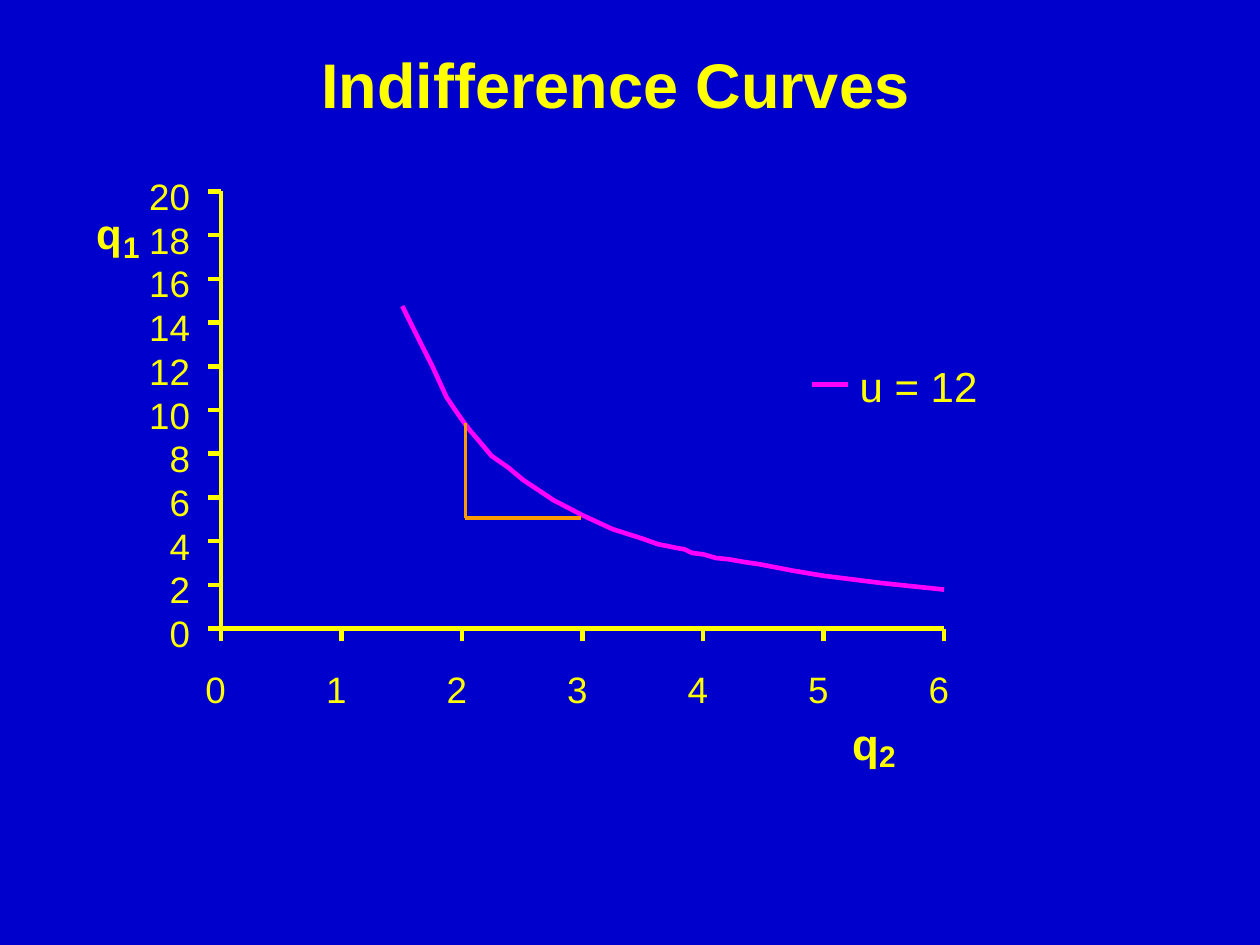
from lxml import etree
from pptx import Presentation
from pptx.dml.color import RGBColor
from pptx.enum.shapes import MSO_CONNECTOR
from pptx.enum.text import MSO_ANCHOR, MSO_AUTO_SIZE, PP_ALIGN
from pptx.oxml.ns import qn
from pptx.util import Pt

BLUE, YELLOW, MAGENTA, ORANGE = "0000CC", "FFFF00", "FF00FF", "FF9900"
AXIS_WIDTH = 2.64
TICK = 7.2
DIGIT = 11.7  # width of one axis digit

# Points of the curve, measured from the top left corner of the plot
CURVE = [
    (103.7, 65.5), (112.3, 82.8), (121, 100.1), (128.9, 117.4), (133.2, 123.8),
    (138.2, 131), (142.6, 136.8), (146.9, 141.8), (154.8, 151.2), (164.2, 157.7),
    (172.8, 164.9), (181.4, 170.6), (190.1, 176.4), (206.6, 185), (223.9, 193),
    (241.9, 198.7), (249.8, 201.6), (257, 203), (260.6, 203.8), (265, 204.5),
    (269.3, 206.6), (275.8, 207.4), (283, 209.5), (290.2, 210.2), (298.8, 211.7),
    (308.2, 213.1), (326.9, 216.7), (344.2, 219.6), (378.7, 223.9), (413.3, 227.5),
]


def rgb(color):
    return RGBColor.from_string(color)


def format_text(sp, text, size, bold=False, align=PP_ALIGN.LEFT):
    tf = sp.text_frame
    tf.margin_left = tf.margin_top = tf.margin_right = tf.margin_bottom = 0
    tf.word_wrap = False
    tf.auto_size = MSO_AUTO_SIZE.NONE
    tf.vertical_anchor = MSO_ANCHOR.TOP
    p = tf.paragraphs[0]
    p.text = text
    p.alignment = align
    p.font.name = "Arial"
    p.font.size = Pt(size)
    p.font.bold = bold
    p.font.color.rgb = rgb(YELLOW)


def add_text(slide, x, y, w, h, text, size, **style):
    sp = slide.shapes.add_textbox(Pt(x), Pt(y), Pt(w), Pt(h))
    format_text(sp, text, size, **style)


def add_line(slide, x1, y1, x2, y2, color=YELLOW, width=AXIS_WIDTH):
    sp = slide.shapes.add_connector(MSO_CONNECTOR.STRAIGHT, Pt(x1), Pt(y1), Pt(x2), Pt(y2))
    sp.line.color.rgb = rgb(color)
    sp.line.width = Pt(width)
    etree.SubElement(sp._element.spPr, qn("a:effectLst"))


def add_title(slide, x, y, w, h):
    title = slide.shapes.title
    title.left, title.top, title.width, title.height = Pt(x), Pt(y), Pt(w), Pt(h)
    format_text(title, "Indifference Curves", 36, bold=True, align=PP_ALIGN.CENTER)


def add_y_axis(slide, x, y, h, top_value=20, step=2):
    add_line(slide, x, y, x, y + h)
    for value in range(0, top_value + 1, step):
        tick_y = y + h * (1 - value / top_value)
        add_line(slide, x - TICK, tick_y, x, tick_y)
        width = DIGIT * len(str(value))
        add_text(slide, x - 17.6 - width, tick_y - 10.1, width, 25.2, str(value), 21,
                 align=PP_ALIGN.RIGHT)


def add_x_axis(slide, x, y, w, last_value=6):
    add_line(slide, x, y, x + w, y)
    for value in range(last_value + 1):
        tick_x = x + w * value / last_value
        add_line(slide, tick_x, y + TICK, tick_x, y)
        add_text(slide, tick_x - 8.8, y + 21.6, DIGIT, 25.2, str(value), 21)


def add_axis_name(slide, x, y, index, size):
    """Write q with its index set lower and smaller beside it."""
    add_text(slide, x, y, 15, 29, "q", size, bold=True)
    add_text(slide, x + 15.5, y + 12, 9.4, 20.2, index, 17, bold=True)


def add_curve(slide, x, y):
    points = [(Pt(x + dx), Pt(y + dy)) for dx, dy in CURVE]
    builder = slide.shapes.build_freeform(*points[0])
    builder.add_line_segments(points[1:], close=False)
    sp = builder.convert_to_shape()
    sp.shadow.inherit = False
    sp.fill.background()
    sp.line.color.rgb = rgb(MAGENTA)
    sp.line.width = Pt(AXIS_WIDTH)


def add_slope_triangle(slide, x, y, w, h):
    add_line(slide, x + w, y + h, x, y + h, ORANGE, 2)
    add_line(slide, x, y + h, x, y, ORANGE, 2)


def add_legend(slide, x, y):
    add_line(slide, x, y + 13.7, x + 20.9, y + 13.7, MAGENTA)
    add_text(slide, x + 27.3, y, 67.7, 28.8, "u = 12", 24)


def add_plot(slide, x, y, w, h):
    add_y_axis(slide, x, y, h)
    add_x_axis(slide, x, y + h, w)
    add_axis_name(slide, x + 360.7, y + 300.2, "2", 25)
    add_axis_name(slide, x - 71.3, y + 9.4, "1", 24)
    add_curve(slide, x, y)
    add_legend(slide, x + 337.7, y + 96.5)
    add_slope_triangle(slide, x + 139.7, y + 132.5, 66.2, 54)


def main():
    prs = Presentation()
    prs.slide_width, prs.slide_height = Pt(720), Pt(540)
    slide = prs.slides.add_slide(prs.slide_layouts[5])
    slide.background.fill.solid()
    slide.background.fill.fore_color.rgb = rgb(BLUE)
    add_title(slide, 183.6, 25.9, 336.2, 43.2)
    add_plot(slide, 126.2, 109.4, 413.3, 249.8)
    prs.save("out.pptx")


if __name__ == "__main__":
    main()
